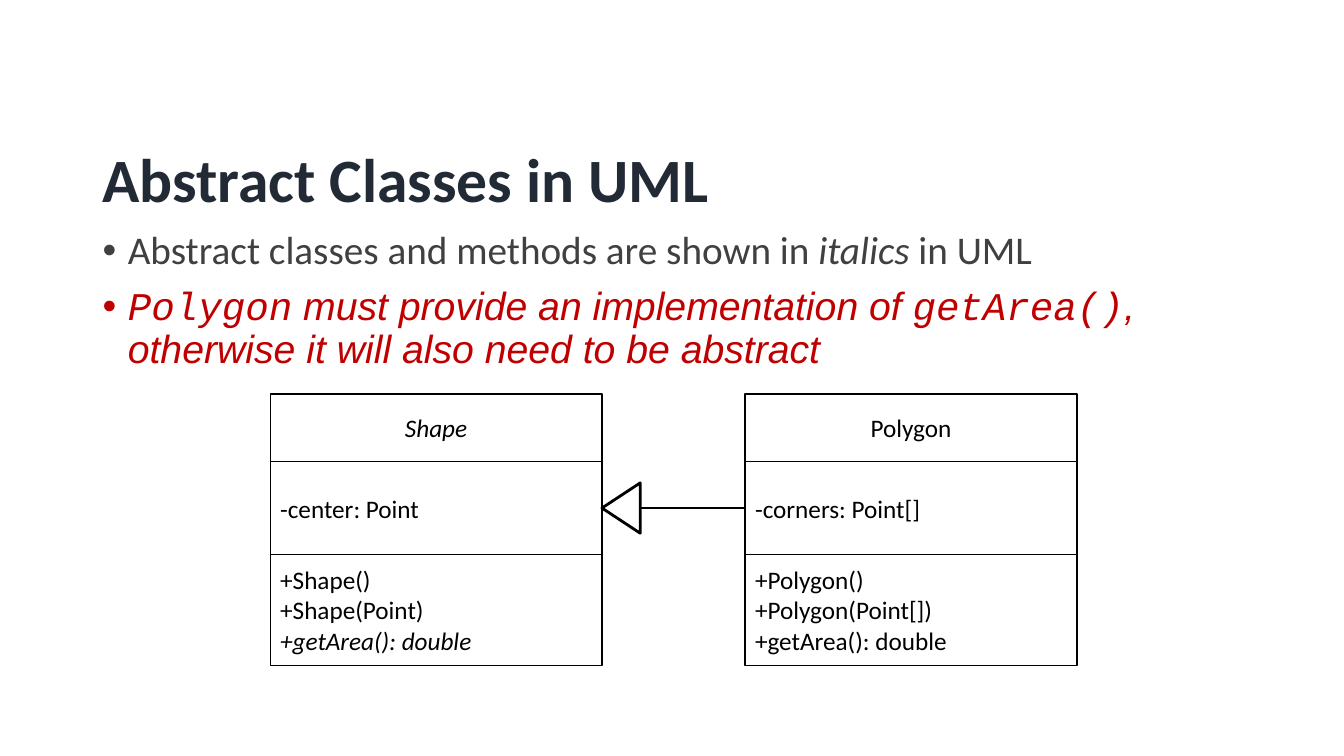
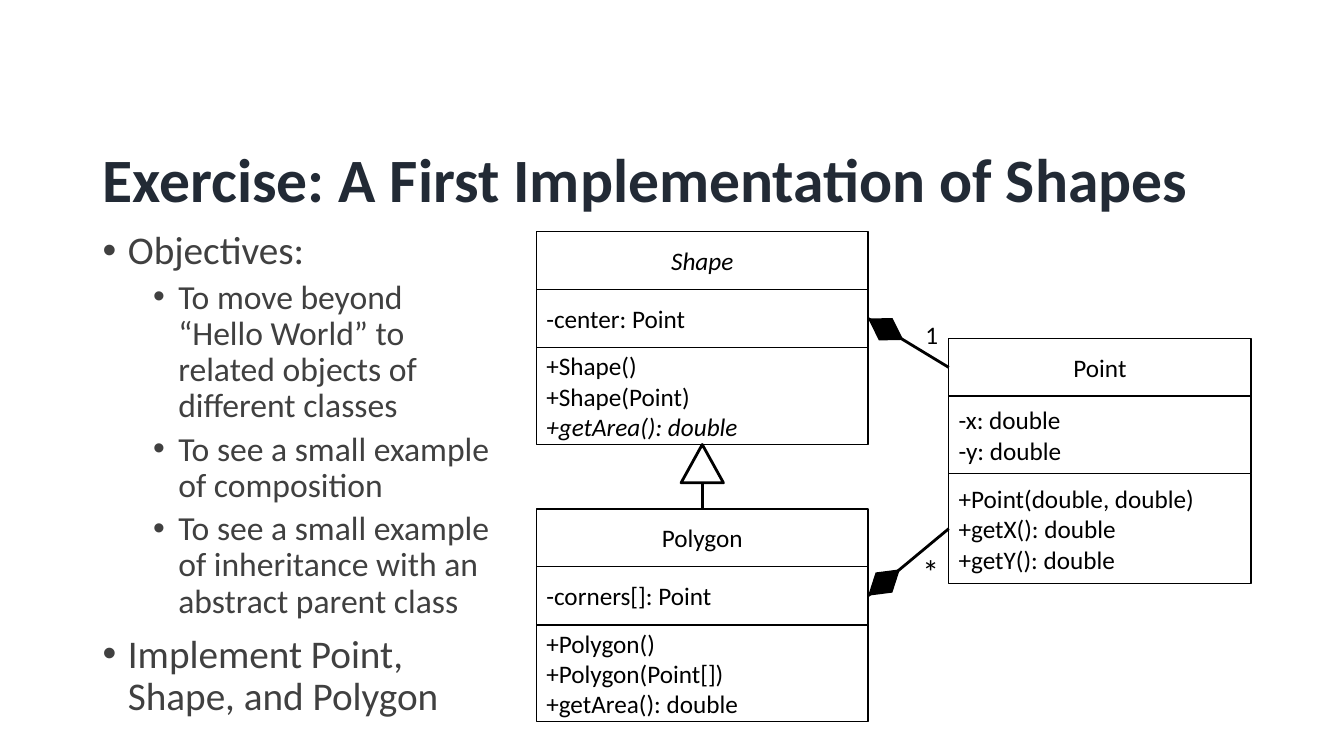
from math import atan2, degrees, hypot

from lxml import etree
from pptx import Presentation
from pptx.dml.color import RGBColor
from pptx.enum.shapes import MSO_CONNECTOR, MSO_SHAPE
from pptx.enum.text import MSO_ANCHOR, PP_ALIGN
from pptx.oxml.ns import qn
from pptx.util import Emu, Inches, Pt

RECTANGLE, TRIANGLE, DIAMOND = MSO_SHAPE.RECTANGLE, MSO_SHAPE.ISOSCELES_TRIANGLE, MSO_SHAPE.DIAMOND
STRAIGHT = MSO_CONNECTOR.STRAIGHT
LEFT, CENTER = PP_ALIGN.LEFT, PP_ALIGN.CENTER
TOP, MIDDLE = MSO_ANCHOR.TOP, MSO_ANCHOR.MIDDLE

NAVY = RGBColor(0x22, 0x2A, 0x35)
GRAY = RGBColor(0x40, 0x40, 0x40)
RED = RGBColor(0xC0, 0x00, 0x00)
BLACK = RGBColor(0x00, 0x00, 0x00)
WHITE = RGBColor(0xFF, 0xFF, 0xFF)

MARGIN, TITLE_TOP, BODY_TOP = 0.92, 1.43, 2.24
TITLE_WIDTH, TITLE_HEIGHT = 11.5, 0.67
CLASS_WIDTH = 3.29
NAME, FIELDS, METHODS = range(3)
SITES = {"top": 0, "left": 1, "bottom": 2, "right": 3}
LEVELS = [
    {"size": 28, "indent": 0.25, "space_before": 10},
    {"size": 24, "indent": 0.75, "space_before": 5},
]

ITALIC = {"italic": True}
RED_TEXT = {"italic": True, "color": RED, "font": "Arial"}
RED_CODE = {**RED_TEXT, "font": "Courier New"}

SHAPE_ROWS = [
    [[("Shape", ITALIC)]],
    ["-center: Point"],
    ["+Shape()", "+Shape(Point)", [("+getArea(): double", ITALIC)]],
]
POLYGON_METHODS = ["+Polygon()", "+Polygon(Point[])", "+getArea(): double"]
POINT_ROWS = [
    ["Point"],
    ["-x: double", "-y: double"],
    ["+Point(double, double)", "+getX(): double", "+getY(): double"],
]
WIDE_HEIGHTS = [0.67, 0.92, 1.1]
COMPACT_HEIGHTS = [0.57, 0.58, 0.96]
POINT_HEIGHTS = [0.57, 0.77, 1.09]

SLIDES = [
    {
        "title": "Abstract Classes in UML",
        "body_size": (11.5, 1.67),
        "body": [
            (0, [("Abstract classes and methods are shown in ", {}), ("italics", ITALIC), (" in UML", {})]),
            (0, [
                ("Polygon", RED_CODE),
                (" must provide an implementation of ", RED_TEXT),
                ("getArea()", RED_CODE),
                (", otherwise it will also need to be abstract", RED_TEXT),
            ]),
        ],
        "classes": {
            "Shape": (2.68, 3.91, CLASS_WIDTH, WIDE_HEIGHTS, SHAPE_ROWS),
            "Polygon": (7.39, 3.91, CLASS_WIDTH, WIDE_HEIGHTS,
                        [["Polygon"], ["-corners: Point[]"], POLYGON_METHODS]),
        },
        "links": [
            (("Polygon", FIELDS, "left"), ("Shape", FIELDS, "right"), TRIANGLE, (0.5, 0.38)),
        ],
        "labels": [],
    },
    {
        "title": "Exercise: A First Implementation of Shapes",
        "body_size": (4.08, 4.76),
        "body": [
            (0, "Objectives:"),
            (1, "To move beyond “Hello World” to related objects of different classes"),
            (1, "To see a small example of composition"),
            (1, "To see a small example of inheritance with an abstract parent class"),
            (0, "Implement Point, Shape, and Polygon"),
        ],
        "classes": {
            "Point": (9.41, 3.36, 3, POINT_HEIGHTS, POINT_ROWS),
            "Shape": (5.32, 2.3, CLASS_WIDTH, COMPACT_HEIGHTS, SHAPE_ROWS),
            "Polygon": (5.32, 5.05, CLASS_WIDTH, COMPACT_HEIGHTS,
                        [["Polygon"], ["-corners[]: Point"], POLYGON_METHODS]),
        },
        "links": [
            (("Point", NAME, "left"), ("Shape", FIELDS, "right"), DIAMOND, (0.26, 0.41)),
            (("Point", METHODS, "left"), ("Polygon", FIELDS, "right"), DIAMOND, (0.26, 0.41)),
            (("Polygon", NAME, "top"), ("Shape", METHODS, "bottom"), TRIANGLE, (0.42, 0.38)),
        ],
        "labels": [("1", 18, (9.08, 3.12, 0.33, 0.4)), ("*", 24, (9.05, 5.42, 0.37, 0.5))],
    },
]


def write_text(paragraph, text, size=18, color=BLACK, bold=False, align=LEFT,
               line_spacing=None, space_before=0, indent=None):
    paragraph.alignment = align
    paragraph.space_before = Pt(space_before)
    if line_spacing:
        paragraph.line_spacing = line_spacing
    if indent is not None:
        properties = paragraph._p.get_or_add_pPr()
        properties.set("marL", str(Inches(indent)))
        properties.set("indent", str(Inches(-0.25)))
        etree.SubElement(properties, qn("a:buFont")).set("typeface", "Arial")
        etree.SubElement(properties, qn("a:buChar")).set("char", "•")
    for words, style in [(text, {})] if isinstance(text, str) else text:
        run = paragraph.add_run()
        run.text = words
        run.font.name = style.get("font", "Calibri")
        run.font.size = Pt(size)
        run.font.bold = bold
        run.font.italic = style.get("italic", False)
        run.font.color.rgb = style.get("color", color)


def fill_frame(shape, paragraphs, anchor=TOP, wrap=True):
    frame = shape.text_frame
    frame.word_wrap = wrap
    frame.vertical_anchor = anchor
    for index, (text, style) in enumerate(paragraphs):
        paragraph = frame.add_paragraph() if index else frame.paragraphs[0]
        write_text(paragraph, text, **style)


def add_text(slide, box, paragraphs, **frame_format):
    shape = slide.shapes.add_textbox(*map(Inches, box))
    fill_frame(shape, paragraphs, **frame_format)


def add_block(slide, kind, box, fill=None, line_width=None):
    shape = slide.shapes.add_shape(kind, *box)
    shape.shadow.inherit = False
    if fill is None:
        shape.fill.background()
    else:
        shape.fill.solid()
        shape.fill.fore_color.rgb = fill
    if line_width is None:
        shape.line.fill.background()
    else:
        shape.line.color.rgb = BLACK
        shape.line.width = Pt(line_width)
    return shape


def add_class(slide, left, top, width, heights, rows):
    compartments = []
    for index, (height, lines) in enumerate(zip(heights, rows)):
        box = [Inches(length) for length in (left, top, width, height)]
        shape = add_block(slide, RECTANGLE, box, line_width=1)
        style = {"align": CENTER if index == NAME else LEFT}
        fill_frame(shape, [(line, style) for line in lines], anchor=MIDDLE)
        compartments.append(shape)
        top += height
    return compartments


def add_link(slide, classes, source, target, marker, size):
    connector = slide.shapes.add_connector(STRAIGHT, 0, 0, 0, 0)
    for connect, (name, row, side) in ((connector.begin_connect, source), (connector.end_connect, target)):
        connect(classes[name][row], SITES[side])
    connector.line.color.rgb = BLACK
    connector.line.width = Pt(2)
    etree.SubElement(connector._element.spPr, qn("a:effectLst"))

    across = connector.end_x - connector.begin_x
    down = connector.end_y - connector.begin_y
    width, height = map(Inches, size)
    share = height / 2 / hypot(across, down)
    left = connector.end_x - across * share - width / 2
    top = connector.end_y - down * share - height / 2
    box = (Emu(int(left)), Emu(int(top)), width, height)
    if marker == TRIANGLE:
        shape = add_block(slide, marker, box, fill=WHITE, line_width=2)
    else:
        shape = add_block(slide, marker, box, fill=BLACK)
    shape.rotation = degrees(atan2(across, -down)) % 360


def build_slide(presentation, content):
    slide = presentation.slides.add_slide(presentation.slide_layouts[6])
    title_style = {"size": 44, "color": NAVY, "bold": True, "line_spacing": 0.9}
    add_text(slide, (MARGIN, TITLE_TOP, TITLE_WIDTH, TITLE_HEIGHT), [(content["title"], title_style)])
    body = [(text, {"color": GRAY, "line_spacing": 0.9, **LEVELS[level]}) for level, text in content["body"]]
    add_text(slide, (MARGIN, BODY_TOP, *content["body_size"]), body)
    classes = {name: add_class(slide, *layout) for name, layout in content["classes"].items()}
    for link in content["links"]:
        add_link(slide, classes, *link)
    for text, size, box in content["labels"]:
        add_text(slide, box, [(text, {"size": size})], wrap=False)


def main():
    presentation = Presentation()
    presentation.slide_width = Inches(13.33)
    presentation.slide_height = Inches(7.5)
    for content in SLIDES:
        build_slide(presentation, content)
    presentation.save("out.pptx")


if __name__ == "__main__":
    main()
